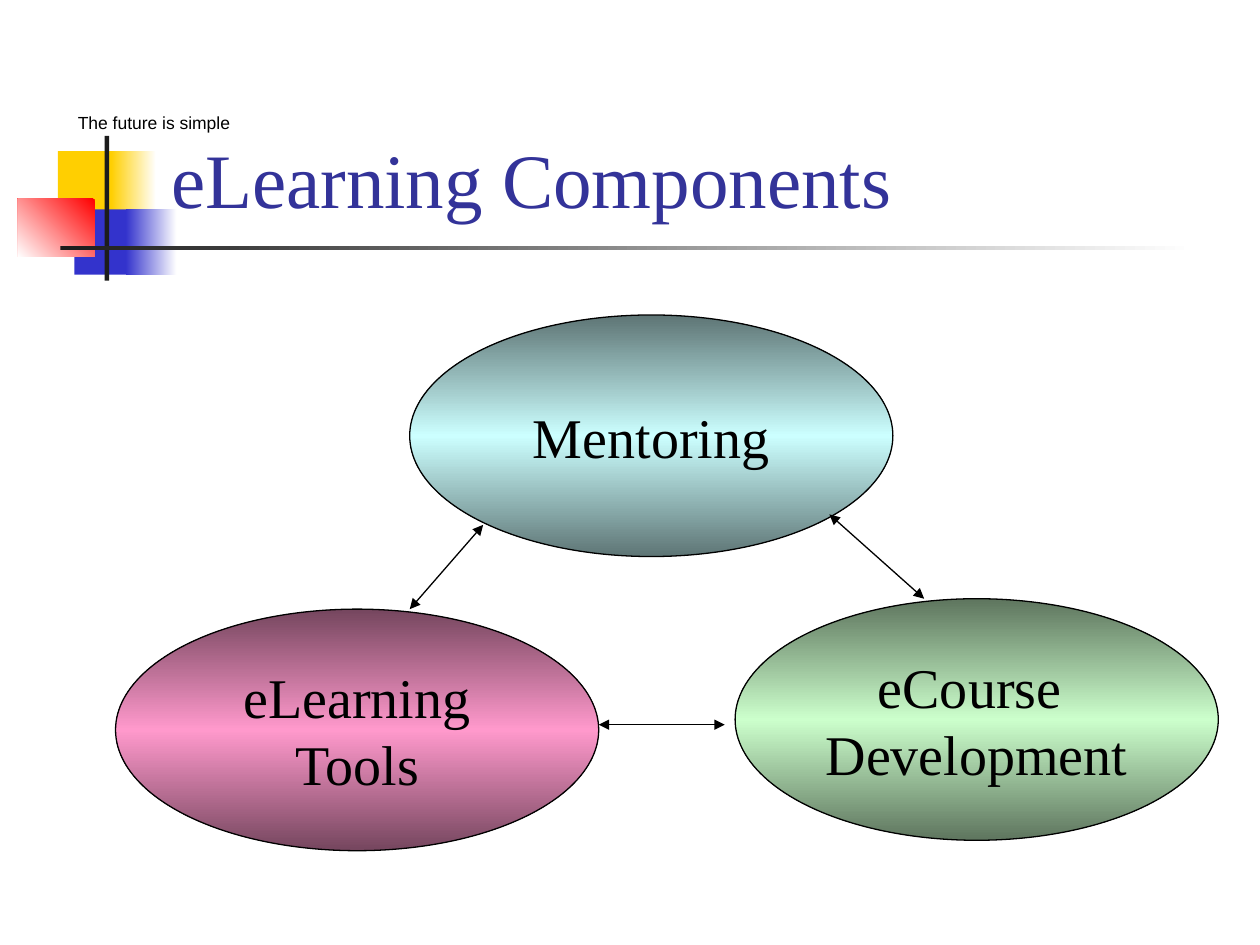
from lxml import etree
from pptx import Presentation
from pptx.dml.color import RGBColor
from pptx.enum.shapes import MSO_CONNECTOR, MSO_SHAPE
from pptx.enum.text import MSO_ANCHOR, PP_ALIGN
from pptx.oxml.ns import qn
from pptx.util import Cm, Pt

RECTANGLE, OVAL = MSO_SHAPE.RECTANGLE, MSO_SHAPE.OVAL
STRAIGHT = MSO_CONNECTOR.STRAIGHT
LEFT, CENTER = PP_ALIGN.LEFT, PP_ALIGN.CENTER
TOP, MIDDLE, BOTTOM = MSO_ANCHOR.TOP, MSO_ANCHOR.MIDDLE, MSO_ANCHOR.BOTTOM

COLORS = {
    "white": "FFFFFF", "black": "000000", "title": "333399",
    "yellow": "FFCF01", "blue": "3333CC", "red": "FF0000", "bar": "1C1C1C",
    "pink": "FF99CC", "dark pink": "75465E",
    "green": "CCFFCC", "dark green": "5E755E",
    "cyan": "CCFFFF", "dark cyan": "5E7575",
}
SERIF, SANS = "Times New Roman", "Arial"
OVAL_SIZE = (9.74, 4.87)


class SlideBuilder:
    def __init__(self, slide):
        self.slide = slide

    def color(self, name):
        return RGBColor.from_string(COLORS[name])

    def paint(self, shape, names, angle):
        if len(names) == 1:
            shape.fill.solid()
            shape.fill.fore_color.rgb = self.color(names[0])
            return
        shape.fill.gradient()
        shape.fill.gradient_angle = angle
        stops = shape._element.spPr.find(qn("a:gradFill")).find(qn("a:gsLst"))
        for stop in list(stops):
            stops.remove(stop)
        for index, name in enumerate(names):
            position = str(100000 * index // (len(names) - 1))
            stop = etree.SubElement(stops, qn("a:gs"), pos=position)
            etree.SubElement(stop, qn("a:srgbClr"), val=COLORS[name])

    def set_text(self, frame, text, font, size, color, align, anchor, wrap):
        frame.text = text
        frame.word_wrap = wrap
        frame.vertical_anchor = anchor
        for paragraph in frame.paragraphs:
            paragraph.alignment = align
            for run in paragraph.runs:
                run.font.name = font
                run.font.size = Pt(size)
                run.font.color.rgb = self.color(color)

    def shape(self, kind, box, names, angle=0):
        shape = self.slide.shapes.add_shape(kind, *map(Cm, box))
        shape.shadow.inherit = False
        shape.line.fill.background()
        self.paint(shape, names, angle)
        return shape

    def block(self, box, names, angle=0):
        self.shape(RECTANGLE, box, names, angle)

    def component(self, corner, text, light):
        dark = f"dark {light}"
        oval = self.shape(OVAL, corner + OVAL_SIZE, (dark, light, dark), 270)
        oval.line.color.rgb = self.color("black")
        oval.line.width = Pt(0.75)
        self.set_text(oval.text_frame, text, SERIF, 32, "black", CENTER, MIDDLE, False)

    def label(self, box, text, font, size, color, anchor):
        label = self.slide.shapes.add_textbox(*map(Cm, box))
        self.set_text(label.text_frame, text, font, size, color, LEFT, anchor, True)

    def double_arrow(self, ends):
        arrow = self.slide.shapes.add_connector(STRAIGHT, *map(Cm, ends))
        arrow.line.color.rgb = self.color("black")
        arrow.line.width = Pt(0.75)
        properties = arrow._element.spPr
        line = properties.find(qn("a:ln"))
        for end in ("a:headEnd", "a:tailEnd"):
            etree.SubElement(line, qn(end), type="triangle")
        etree.SubElement(properties, qn("a:effectLst"))


def main():
    presentation = Presentation()
    presentation.slide_width, presentation.slide_height = Cm(25.4), Cm(19.05)
    builder = SlideBuilder(presentation.slides.add_slide(presentation.slide_layouts[6]))

    builder.block((1.17, 3.05, 1.22, 1.32), ("yellow",))
    builder.block((2.24, 3.05, 0.91, 1.32), ("yellow", "white"))
    builder.block((1.5, 4.22, 1.17, 1.32), ("blue",))
    builder.block((2.54, 4.22, 1.02, 1.32), ("blue", "white"))
    builder.block((0.36, 4.01, 1.55, 1.17), ("red", "white"), 225)
    builder.block((2.11, 2.74, 0.09, 2.92), ("bar",))
    builder.block((1.22, 4.95, 22.86, 0.09), ("bar", "white"))

    builder.label((1.32, 2.13, 3.81, 0.69), "The future is simple", SANS, 10, "black", TOP)
    builder.label((3.2, 0.58, 21.64, 4.06), "eLearning Components", SERIF, 44, "title", BOTTOM)

    builder.component((2.33, 12.28), "eLearning\nTools", "pink")
    builder.component((14.82, 12.07), "eCourse \nDevelopment", "green")
    builder.component((8.26, 6.35), "Mentoring", "cyan")

    builder.double_arrow((16.72, 10.37, 18.63, 12.07))
    builder.double_arrow((8.26, 12.28, 9.74, 10.58))
    builder.double_arrow((12.07, 14.61, 14.61, 14.61))

    presentation.save("out.pptx")


if __name__ == "__main__":
    main()
